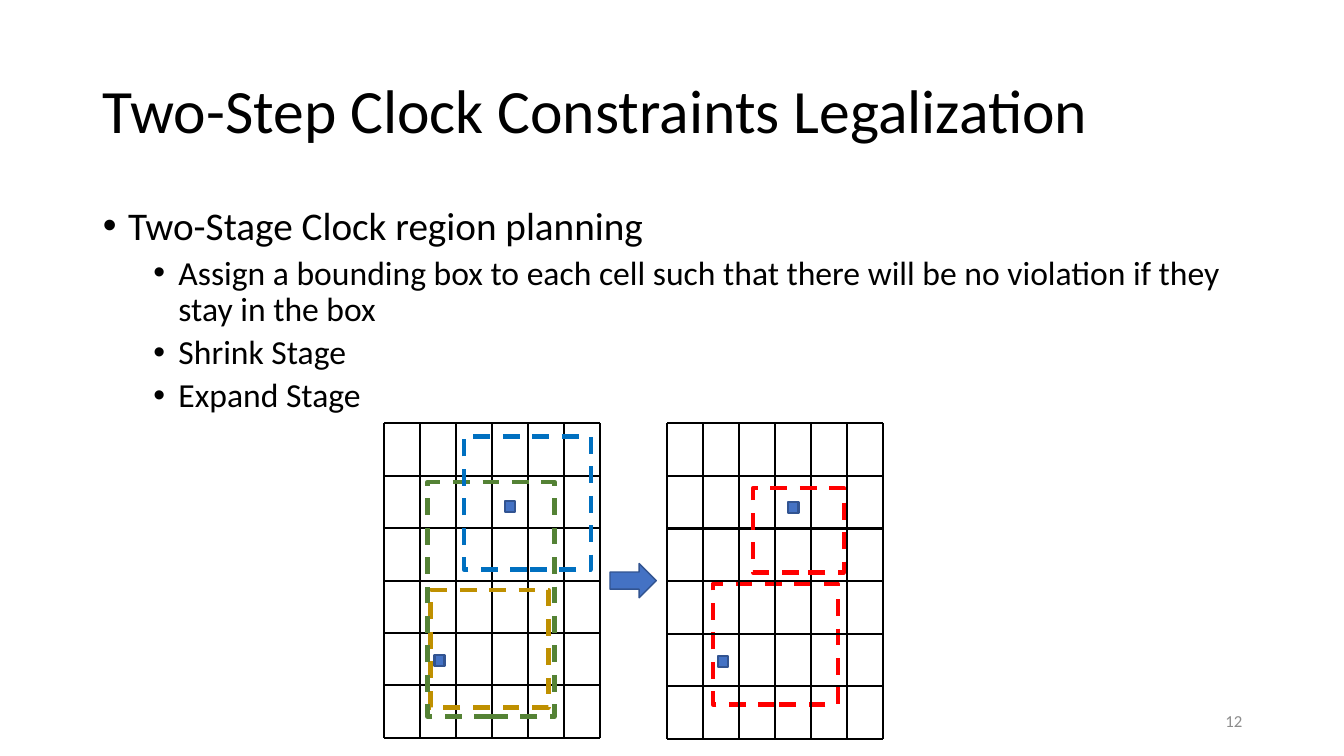
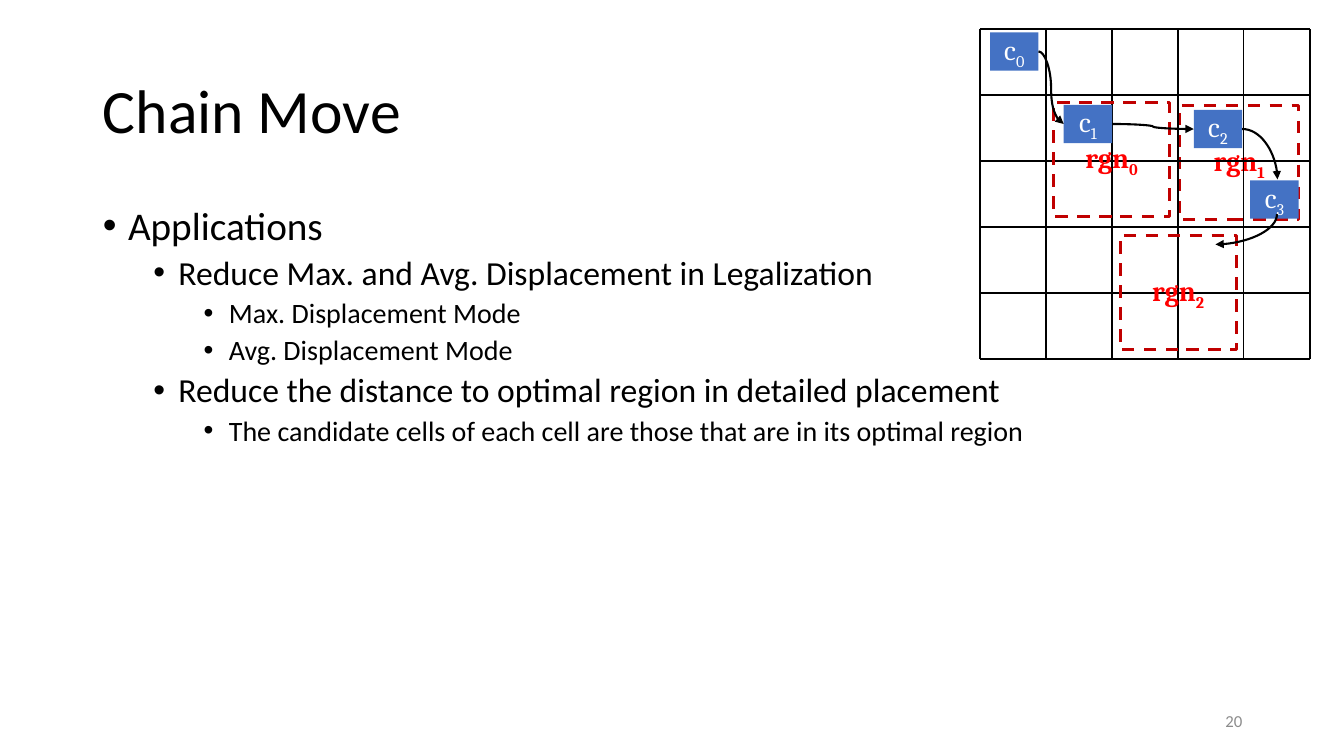
from lxml import etree
from pptx import Presentation
from pptx.dml.color import RGBColor
from pptx.enum.dml import MSO_LINE
from pptx.enum.shapes import MSO_CONNECTOR as CONNECTOR, MSO_SHAPE as SHAPE
from pptx.enum.text import MSO_ANCHOR as ANCHOR, MSO_AUTO_SIZE as AUTO_SIZE, PP_ALIGN as ALIGN
from pptx.oxml.ns import qn
from pptx.util import Inches, Pt

BLACK = RGBColor(0x00, 0x00, 0x00)
WHITE = RGBColor(0xFF, 0xFF, 0xFF)
GREY = RGBColor(0x8C, 0x8C, 0x8C)
CELL_BLUE = RGBColor(0x44, 0x72, 0xC4)
CELL_EDGE = RGBColor(0x32, 0x54, 0x91)
GOLD = RGBColor(0xBF, 0x90, 0x00)
GREEN = RGBColor(0x54, 0x82, 0x35)
BLUE = RGBColor(0x00, 0x70, 0xC0)
RED = RGBColor(0xFF, 0x00, 0x00)
DARK_RED = RGBColor(0xC0, 0x00, 0x00)

BODY_FONT = "Calibri"
LABEL_FONT = "Cambria"
LEVEL_SIZES = [28, 24, 20]


def add_box(shapes, place, edge=None, width=1.5, fill=None, label="", preset=SHAPE.RECTANGLE):
    """Filled cell, or a dashed region when there is no fill; the label ends in a subscript."""
    box = shapes.add_shape(preset, *[Inches(value) for value in place])
    box.shadow.inherit = False
    if fill is None:
        box.fill.background()
        box.line.dash_style = MSO_LINE.DASH
    else:
        box.fill.solid()
        box.fill.fore_color.rgb = fill
    if edge is None:
        box.line.fill.background()
    else:
        box.line.color.rgb = edge
        box.line.width = Pt(width)
    if label:
        frame = box.text_frame
        frame.word_wrap = False
        frame.vertical_anchor = ANCHOR.MIDDLE
        para = frame.paragraphs[0]
        para.alignment = ALIGN.CENTER
        for text in (label[:-1], label[-1]):
            span = para.add_run()
            span.text = text
            span.font.name, span.font.size = LABEL_FONT, Pt(20)
            span.font.bold = fill is None
            span.font.color.rgb = RED if fill is None else WHITE
        span._r.get_or_add_rPr().set("baseline", "-25000")


def add_line(shapes, start_x, start_y, end_x, end_y, width=1.5, kind=CONNECTOR.STRAIGHT):
    line = shapes.add_connector(kind, *[Inches(v) for v in (start_x, start_y, end_x, end_y)])
    line.line.color.rgb = BLACK
    line.line.width = Pt(width)
    etree.SubElement(line._element.spPr, qn("a:effectLst"))
    return line


# Diagrams: boxes below the grid, the grid, boxes above it, curved arrows
# A grid is left, top, width, height, columns, rows, inner line width
before_planning = {
    "below": [],
    "grid": (3.81, 4.2, 2.14, 3.12, 6, 6, 1.5),
    "above": [
        ((5.01, 4.97, 0.1, 0.11), CELL_EDGE, 1.5, CELL_BLUE),
        ((4.31, 6.5, 0.1, 0.11), CELL_EDGE, 1.5, CELL_BLUE),
        ((4.27, 5.85, 1.17, 1.17), GOLD, 3),
        ((4.24, 4.78, 1.26, 2.33), GREEN, 3),
        ((4.6, 4.33, 1.26, 1.32), BLUE, 3),
    ],
    "arrows": [],
}
after_planning = {
    "below": [((7.07, 5.79, 1.24, 1.2), RED, 3)],
    "grid": (6.62, 4.2, 2.14, 3.13, 6, 6, 1.5),
    "above": [
        ((7.82, 4.98, 0.1, 0.11), CELL_EDGE, 1.5, CELL_BLUE),
        ((7.12, 6.51, 0.1, 0.11), CELL_EDGE, 1.5, CELL_BLUE),
        ((7.47, 4.84, 0.9, 0.84), RED, 3),
    ],
    "arrows": [],
}
cell_places = [(9.82, 0.32), (10.55, 1.04), (11.84, 1.09), (12.4, 1.79)]
chain_move = {
    "below": [((11.7, 1.05, 1.18, 1.13), DARK_RED, 2.25, None, "rgn1")],
    "grid": (9.72, 0.29, 3.27, 3.27, 5, 5, 1),
    "above": [
        ((10.45, 1.02, 1.15, 1.13), DARK_RED, 2.25, None, "rgn0"),
        ((11.11, 2.34, 1.15, 1.13), DARK_RED, 2.25, None, "rgn2"),
    ] + [
        ((left, top, 0.48, 0.38), None, 0, CELL_BLUE, f"c{number}")
        for number, (left, top) in enumerate(cell_places)
    ],
    # Ends before rotation, preset, rotation in degrees
    "arrows": [
        ((10.3, 0.51, 10.55, 1.23), "curvedConnector3", 0),
        ((11.03, 1.23, 11.84, 1.28), "curvedConnector3", 0),
        ((12.32, 1.28, 12.67, 1.78), "curvedConnector2", 0),
        ((12.21, 1.97, 12.51, 2.58), "curvedConnector2", 90),
    ],
}

# Slides: title, number, body size, body items (level, text), diagrams
slides = [
    ("Two-Step Clock Constraints Legalization", "12", (11.5, 2.2), [
        (0, "Two-Stage Clock region planning"),
        (1, "Assign a bounding box to each cell such that there will be no violation "
            "if they stay in the box"),
        (1, "Shrink Stage"),
        (1, "Expand Stage"),
    ], [before_planning, after_planning]),
    ("Chain Move", "20", (9.57, 4.76), [
        (0, "Applications"),
        (1, "Reduce Max. and Avg. Displacement in Legalization"),
        (2, "Max. Displacement Mode"),
        (2, "Avg. Displacement Mode"),
        (1, "Reduce the distance to optimal region in detailed placement"),
        (2, "The candidate cells of each cell are those that are in its optimal region"),
    ], [chain_move]),
]

deck = Presentation()
deck.slide_width, deck.slide_height = Inches(13.33), Inches(7.5)

for title_text, number_text, (body_width, body_height), items, diagrams in slides:
    page = deck.slides.add_slide(deck.slide_layouts[1])

    # Title
    title = page.shapes.title
    title.left, title.top = Inches(0.92), Inches(0.4)
    title.width, title.height = Inches(11.5), Inches(1.45)
    title.text_frame.text = title_text
    title.text_frame.vertical_anchor = ANCHOR.MIDDLE
    title.text_frame.auto_size = AUTO_SIZE.NONE
    para = title.text_frame.paragraphs[0]
    para.alignment = ALIGN.LEFT
    para.line_spacing = 0.9
    font = para.runs[0].font
    font.name, font.size, font.color.rgb = BODY_FONT, Pt(44), BLACK

    # Bulleted list
    body = page.placeholders[1]
    body.left, body.top = Inches(0.92), Inches(2)
    body.width, body.height = Inches(body_width), Inches(body_height)
    frame = body.text_frame
    frame.auto_size = AUTO_SIZE.NONE
    frame.text = "\n".join(text for _, text in items)
    for para, (level, _) in zip(frame.paragraphs, items):
        para.level = level
        para.line_spacing = 0.9
        para.space_before = Pt(5 if level else 10)
        properties = para._p.get_or_add_pPr()
        properties.set("marL", str(Inches(0.25 + 0.5 * level)))
        properties.set("indent", str(Inches(-0.25)))
        etree.SubElement(properties, qn("a:buFont")).set("typeface", "Arial")
        etree.SubElement(properties, qn("a:buChar")).set("char", "•")
        font = para.runs[0].font
        font.name, font.size, font.color.rgb = BODY_FONT, Pt(LEVEL_SIZES[level]), BLACK

    # Slide number
    number = page.shapes.add_textbox(Inches(9.42), Inches(6.95), Inches(3), Inches(0.4))
    number.text_frame.word_wrap = True
    number.text_frame.vertical_anchor = ANCHOR.MIDDLE
    number.text_frame.text = number_text
    para = number.text_frame.paragraphs[0]
    para.alignment = ALIGN.RIGHT
    font = para.runs[0].font
    font.name, font.size, font.color.rgb = BODY_FONT, Pt(12), GREY

    # Diagrams, one group each
    for diagram in diagrams:
        shapes = page.shapes.add_group_shape().shapes
        for box in diagram["below"]:
            add_box(shapes, *box)

        left, top, width, height, columns, rows, inner = diagram["grid"]
        for column in range(columns + 1):
            x = left + width * column / columns
            add_line(shapes, x, top, x, top + height, 1.5 if column in (0, columns) else inner)
        for row in range(rows + 1):
            y = top + height * row / rows
            add_line(shapes, left, y, left + width, y, 1.5 if row in (0, rows) else inner)

        for box in diagram["above"]:
            add_box(shapes, *box)

        for ends, preset, degrees in diagram["arrows"]:
            arrow = add_line(shapes, *ends, kind=CONNECTOR.CURVE)
            properties = arrow._element.spPr
            properties.find(qn("a:prstGeom")).set("prst", preset)
            properties.find(qn("a:xfrm")).set("rot", str(degrees * 60000))
            etree.SubElement(properties.find(qn("a:ln")), qn("a:tailEnd")).set("type", "triangle")

# Arrow between the two planning grids
add_box(deck.slides[0].shapes, (6.05, 5.59, 0.46, 0.34), CELL_EDGE, 1, CELL_BLUE,
        preset=SHAPE.RIGHT_ARROW)

deck.save("out.pptx")
